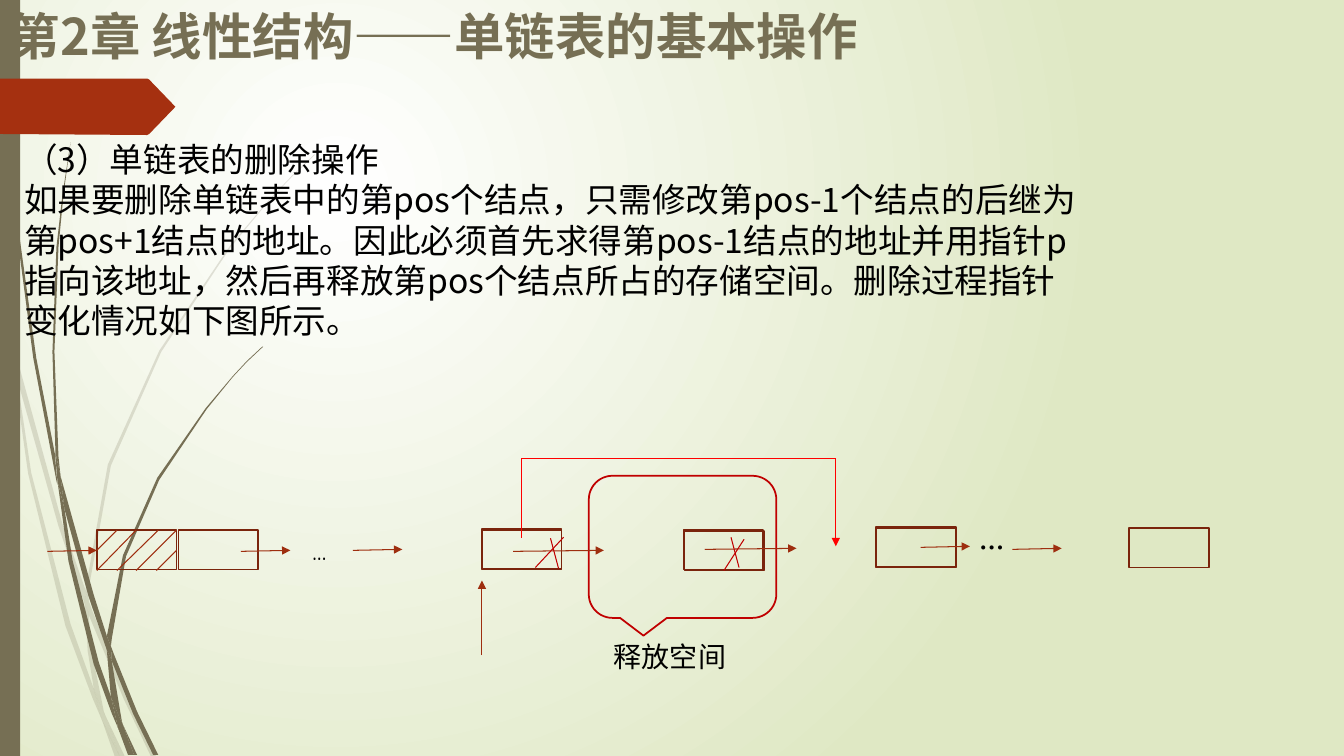
from typing import NamedTuple

import pptx
import pptx.dml.color
import pptx.enum.dml
import pptx.enum.shapes
import pptx.enum.text
import pptx.oxml.ns
import pptx.util

PX = 9144
OLIVE = "766F54"
RUST = "A53010"
NODE_EDGE = "7A240C"
LINK = "9E2E0F"
RED = "FF0000"
CRIMSON = "C00000"
CJK = "Noto Sans CJK SC"
NODE_SIZE = (79, 39)


class Stroke(NamedTuple):
    x1: int
    y1: int
    x2: int
    y2: int
    color: str = LINK
    arrow: bool = False


class Label(NamedTuple):
    left: int
    top: int
    width: int
    height: int
    paragraphs: list[str]
    size: int
    pitch: float
    font: str = CJK
    color: str = "000000"
    bold: bool = False
    centered: bool = False


PALE_GRASS = [
    [(11, 350), (9, 322), (0, 282), (0, 299), (10, 344)],
    [(58, 522), (84, 599), (85, 586), (62, 520), (14, 345), (17, 376)],
    [(92, 607), (88, 596), (88, 610), (123, 694), (150, 751), (155, 751), (127, 692)],
    [(119, 751), (124, 751), (105, 711)],
    [(93, 683), (70, 619), (31, 469), (17, 376), (11, 350), (28, 470), (65, 621),
     (92, 693), (101, 714), (99, 707)],
    [(84, 599), (87, 646), (93, 683), (96, 692), (105, 711), (103, 706), (91, 646),
     (88, 610), (88, 608)],
    [(88, 584), (110, 462), (160, 349), (229, 245), (268, 198), (290, 175), (312, 154),
     (312, 153), (289, 175), (268, 197), (228, 244), (158, 348), (107, 461), (85, 584),
     (85, 586), (88, 596)],
    [(101, 714), (114, 751), (119, 751)],
    [(88, 608), (88, 610), (88, 596), (85, 586), (84, 599)],
    [(96, 692), (93, 683), (99, 707), (101, 714), (119, 751), (105, 711)],
]
DARK_GRASS = [
    [(7, 110), (17, 233), (33, 355), (56, 477), (57, 481), (55, 457), (55, 453), (36, 355),
     (19, 232), (8, 109), (5, 48), (4, 0), (3, 0), (4, 48)],
    [(88, 592), (106, 645), (106, 633), (106, 631), (93, 590), (60, 472), (64, 505)],
    [(113, 649), (110, 641), (111, 656), (132, 708), (152, 749), (157, 749), (136, 706)],
    [(110, 691), (98, 657), (72, 556), (64, 505), (57, 477), (68, 557), (93, 659),
     (111, 708), (117, 722), (116, 717)],
    [(60, 472), (58, 453), (54, 349), (58, 245), (63, 193), (70, 141), (62, 193),
     (56, 245), (52, 349), (55, 449)],
    [(133, 749), (136, 749), (122, 719)],
    [(57, 477), (64, 505), (60, 472), (55, 449), (55, 453)],
    [(111, 633), (125, 552), (158, 476), (205, 406), (231, 374), (245, 359), (261, 344),
     (260, 344), (245, 358), (231, 373), (204, 405), (156, 474), (122, 551), (106, 631),
     (110, 641)],
    [(117, 722), (127, 749), (131, 749)],
    [(106, 645), (110, 691), (116, 706), (122, 719), (121, 716), (111, 656), (109, 651)],
    [(106, 645), (109, 651), (111, 656), (110, 641), (106, 631), (106, 633)],
    [(116, 706), (110, 691), (116, 717), (117, 722), (130, 749), (133, 749), (122, 719)],
]
RIBBON = [(0, 78), (146, 78), (148, 79), (174, 106), (148, 133), (146, 134), (0, 133)]
NODES = [(96, 526), (177, 526), (478, 525), (478, 526), (678, 526), (679, 527),
         (869, 523), (869, 524), (1120, 524)]
HATCHING = [Stroke(116, 526, 96, 546), Stroke(135, 526, 96, 566), Stroke(157, 526, 116, 566),
            Stroke(175, 546, 155, 566), Stroke(175, 526, 135, 566)]
POINTERS = [Stroke(*ends, arrow=True) for ends in [
    (47, 547, 96, 546), (239, 547, 288, 546), (350, 546, 399, 545), (478, 650, 478, 576),
    (509, 547, 599, 546), (699, 545, 790, 544), (913, 543, 962, 542), (1004, 545, 1053, 544)]]
BYPASS = [Stroke(517, 455, 517, 534, RED), Stroke(517, 455, 829, 455, RED),
          Stroke(829, 455, 829, 542, RED, True)]
CROSSES = [Stroke(*ends, CRIMSON) for ends in [
    (546, 534, 554, 564), (559, 533, 531, 563), (738, 535, 718, 566), (725, 533, 733, 563)]]
LABELS = [
    Label(14, 133, 1066, 212, [
        "（3）单链表的删除操作",
        "如果要删除单链表中的第pos个结点，只需修改第pos-1个结点的后继为第pos+1结点的地址。"
        "因此必须首先求得第pos-1结点的地址并用指针p指向该地址，然后再释放第pos个结点所占的存储空间。"
        "删除过程指针变化情况如下图所示。"], 24, 28.8),
    Label(300, 526, 74, 40, ["…"], 18, 21.6, "Quicksand"),
    Label(917, 523, 133, 40, ["…"], 18, 21.6, bold=True, centered=True),
    Label(599, 630, 145, 44, ["释放空间"], 20, 24),
    Label(0, 0, 940, 88, ["第2章 线性结构——单链表的基本操作"], 36, 43.2, color=OLIVE, bold=True),
]


def rgb(color: str) -> pptx.dml.color.RGBColor:
    return pptx.dml.color.RGBColor.from_string(color)


def px(*lengths: int) -> list[int]:
    return [length * PX for length in lengths]


def paint(shape, fill: str | None = None, line: str | None = None, alpha: int = 100) -> None:
    shape.shadow.inherit = False
    if fill:
        shape.fill.solid()
        shape.fill.fore_color.rgb = rgb(fill)
        if alpha < 100:
            tint = shape.fill._xPr.find(".//" + pptx.oxml.ns.qn("a:srgbClr"))
            tint.append(pptx.oxml.parse_xml(
                f'<a:alpha {pptx.oxml.ns.nsdecls("a")} val="{alpha * 1000}"/>'))
    else:
        shape.fill.background()
    if line:
        shape.line.color.rgb = rgb(line)
        shape.line.width = pptx.util.Pt(1.25)
    else:
        shape.line.fill.background()


def draw_outline(slide, points: list[tuple], color: str, alpha: int = 100) -> None:
    builder = slide.shapes.build_freeform(*points[0], scale=PX)
    builder.add_line_segments(points[1:])
    paint(builder.convert_to_shape(), color, alpha=alpha)


def draw_stroke(slide, stroke: Stroke) -> None:
    connector = slide.shapes.add_connector(
        pptx.enum.shapes.MSO_CONNECTOR.STRAIGHT, *px(*stroke[:4]))
    connector.line.color.rgb = rgb(stroke.color)
    connector.line.width = pptx.util.Pt(0.75)
    namespace = pptx.oxml.ns.nsdecls("a")
    if stroke.arrow:
        connector.line._get_or_add_ln().append(
            pptx.oxml.parse_xml(f'<a:tailEnd {namespace} type="triangle"/>'))
    connector._element.spPr.append(pptx.oxml.parse_xml(f"<a:effectLst {namespace}/>"))


def draw_label(slide, label: Label) -> None:
    frame = slide.shapes.add_textbox(*px(*label[:4])).text_frame
    frame.word_wrap = True
    for index, text in enumerate(label.paragraphs):
        paragraph = frame.add_paragraph() if index else frame.paragraphs[0]
        paragraph.line_spacing = pptx.util.Pt(label.pitch)
        if label.centered:
            paragraph.alignment = pptx.enum.text.PP_ALIGN.CENTER
        run = paragraph.add_run()
        run.text = text
        run.font.size = pptx.util.Pt(label.size)
        run.font.bold = label.bold
        run.font.color.rgb = rgb(label.color)
        run.font.name = label.font
        run.font._element.append(pptx.oxml.parse_xml(
            f'<a:ea {pptx.oxml.ns.nsdecls("a")} typeface="{label.font}"/>'))


def paint_background(slide) -> None:
    fill = slide.background.fill
    fill.gradient()
    for stop, color, position in zip(fill.gradient_stops, ("FFFFFF", "DFE8C4"), (0, 1)):
        stop.color.rgb = rgb(color)
        stop.position = position
    gradient = slide._element.find(".//" + pptx.oxml.ns.qn("a:gradFill"))
    linear = gradient.find(pptx.oxml.ns.qn("a:lin"))
    gradient.replace(linear, pptx.oxml.parse_xml(
        f'<a:path {pptx.oxml.ns.nsdecls("a")} path="circle">'
        '<a:fillToRect l="50000" t="50000" r="100000" b="100000"/></a:path>'))


def draw_box(slide, kind, box: tuple, fill: str | None = None, line: str | None = None) -> None:
    paint(slide.shapes.add_shape(kind, *px(*box)), fill, line)


def main() -> None:
    deck = pptx.Presentation()
    deck.slide_width, deck.slide_height = px(1333, 750)
    slide = deck.slides.add_slide(deck.slide_layouts[6])
    preset = pptx.enum.shapes.MSO_SHAPE
    paint_background(slide)
    for blades, alpha in ((PALE_GRASS, 20), (DARK_GRASS, 100)):
        for blade in blades:
            draw_outline(slide, blade, OLIVE, alpha)
    draw_box(slide, preset.RECTANGLE, (0, 0, 20, 750), fill=OLIVE)
    draw_outline(slide, RIBBON, RUST)
    for corner in NODES:
        draw_box(slide, preset.RECTANGLE, (*corner, *NODE_SIZE), line=NODE_EDGE)
    draw_box(slide, preset.ROUNDED_RECTANGULAR_CALLOUT, (584, 472, 186, 141), line=CRIMSON)
    for stroke in HATCHING + POINTERS + BYPASS + CROSSES:
        draw_stroke(slide, stroke)
    for label in LABELS:
        draw_label(slide, label)
    deck.save("out.pptx")


if __name__ == "__main__":
    main()
